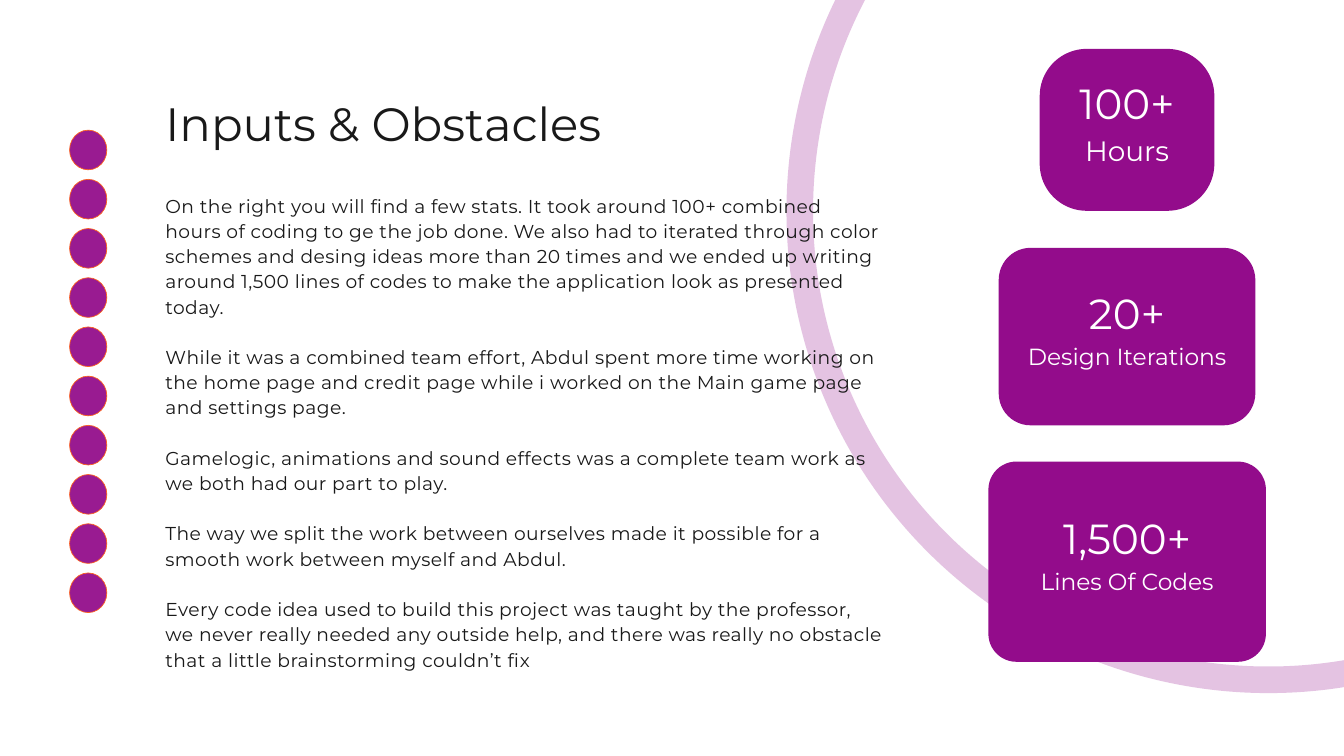
from dataclasses import dataclass

from lxml.etree import SubElement
from pptx import Presentation
from pptx.dml.color import RGBColor
from pptx.enum.shapes import MSO_SHAPE
from pptx.enum.text import MSO_ANCHOR, MSO_AUTO_SIZE, PP_ALIGN
from pptx.oxml.ns import qn
from pptx.util import Cm, Pt

COLORS = {
    "ink": "191919",
    "white": "FFFFFF",
    "card": "930C8B",
    "dot": "991B91",
    "dot_line": "FD6220",
}
FONT = "Montserrat"
TITLE = "Inputs & Obstacles"
PARAGRAPHS = [
    "On the right you will find a few stats. It took around 100+ combined hours of coding to ge the job done. "
    "We also had to iterated through color schemes and desing ideas more than 20 times and we ended up writing "
    "around 1,500 lines of codes to make the application look as presented today.",
    "While it was a combined team effort, Abdul spent more time working on the home page and credit page "
    "while i worked on the Main game page and settings page.",
    "Gamelogic, animations and sound effects was a complete team work as we both had our part to play.",
    "The way we split the work between ourselves made it possible for a smooth work between myself and Abdul.",
    "Every code idea used to build this project was taught by the professor, we never really needed any "
    "outside help, and there was really no obstacle that a little brainstorming couldn’t fix",
]
DOT_COUNT, DOT_TOP, DOT_PITCH = 10, 4.92, 1.86


@dataclass
class Area:
    left: float
    top: float
    width: float
    height: float

    def lengths(self) -> list:
        return [Cm(value) for value in (self.left, self.top, self.width, self.height)]


@dataclass
class Stat:
    area: Area
    corner: float
    value: str
    label: str
    label_size: int
    label_spacing: int


STATS = [
    Stat(Area(39.3, 1.85, 6.6, 6.12), 0.29, "100+", "Hours", 30, 42),
    Stat(Area(37.75, 9.37, 9.7, 6.71), 0.18, "20+", "Design Iterations", 25, 35),
    Stat(Area(37.36, 17.45, 10.49, 7.57), 0.14, "1,500+", "Lines Of Codes", 25, 35),
]


def color(name: str) -> RGBColor:
    return RGBColor.from_string(COLORS[name])


def set_frame(box, anchor, bottom: float = 0, inset: float = 0) -> None:
    values = {
        "word_wrap": True,
        "auto_size": MSO_AUTO_SIZE.NONE,
        "vertical_anchor": anchor,
        "margin_left": Cm(inset),
        "margin_top": Cm(inset),
        "margin_right": Cm(inset),
        "margin_bottom": Cm(bottom),
    }
    for name, value in values.items():
        setattr(box.text_frame, name, value)


def write(para, text: str, size: float, ink: str, align, spacing: float, before: float = 0):
    values = {
        "alignment": align,
        "line_spacing": Pt(spacing),
        "space_before": Pt(before),
        "space_after": Pt(0),
    }
    for name, value in values.items():
        setattr(para, name, value)
    span = para.add_run()
    span.text = text
    for name, value in {"name": FONT, "size": Pt(size), "bold": False}.items():
        setattr(span.font, name, value)
    span.font.color.rgb = color(ink)
    return span


def place(box, area: Area) -> None:
    for name, value in zip(("left", "top", "width", "height"), area.lengths()):
        setattr(box, name, value)


def add_ring(page, area: Area) -> None:
    ring = page.shapes.add_shape(MSO_SHAPE.OVAL, *area.lengths())
    ring.shadow.inherit = False
    ring.fill.background()
    ring.line.width = Pt(28.5)
    ring.line.color.rgb = color("dot")
    tint = ring.line._ln.find(".//" + qn("a:srgbClr"))
    SubElement(tint, qn("a:alpha"), val="26000")
    page.shapes._spTree.insert(2, ring._element)


def add_title(page) -> None:
    box = page.shapes.title
    place(box, Area(6.25, 3.25, 24.92, 2.41))
    set_frame(box, MSO_ANCHOR.TOP)
    write(box.text_frame.paragraphs[0], TITLE, 50, "ink", PP_ALIGN.LEFT, 70)


def add_body(page) -> None:
    box = page.placeholders[1]
    place(box, Area(6.25, 7.25, 27.15, 17.58))
    set_frame(box, MSO_ANCHOR.TOP)
    for index, text in enumerate(PARAGRAPHS):
        para = box.text_frame.add_paragraph() if index else box.text_frame.paragraphs[0]
        properties = para._p.get_or_add_pPr()
        for name in ("marL", "indent"):
            properties.set(name, "0")
        SubElement(properties, qn("a:buNone"))
        span = write(para, text, 20, "ink", PP_ALIGN.LEFT, 27, 27 if index else 0)
        span._r.get_or_add_rPr().set("spc", "47")


def add_dot(page, area: Area) -> None:
    dot = page.shapes.add_shape(MSO_SHAPE.OVAL, *area.lengths())
    dot.shadow.inherit = False
    dot.fill.solid()
    dot.fill.fore_color.rgb = color("dot")
    dot.line.color.rgb = color("dot_line")
    dot.line.width = Pt(0.75)


def add_stat(page, stat: Stat) -> None:
    card = page.shapes.add_shape(MSO_SHAPE.ROUNDED_RECTANGLE, *stat.area.lengths())
    card.adjustments[0] = stat.corner
    card.shadow.inherit = False
    card.fill.solid()
    card.fill.fore_color.rgb = color("card")
    card.line.fill.background()
    set_frame(card, MSO_ANCHOR.MIDDLE, bottom=1.06, inset=0.15)
    frame = card.text_frame
    write(frame.paragraphs[0], stat.value, 45, "white", PP_ALIGN.CENTER, 63)
    write(frame.add_paragraph(), stat.label, stat.label_size, "white", PP_ALIGN.CENTER, stat.label_spacing)


def main() -> None:
    deck = Presentation()
    deck.slide_width, deck.slide_height = Cm(50.8), Cm(28.58)
    page = deck.slides.add_slide(deck.slide_layouts[1])
    add_ring(page, Area(30.23, -9.73, 35.43, 35.43))
    add_title(page)
    add_body(page)
    for index in range(DOT_COUNT):
        add_dot(page, Area(2.63, DOT_TOP + index * DOT_PITCH, 1.41, 1.5))
    for stat in STATS:
        add_stat(page, stat)
    deck.save("out.pptx")


if __name__ == "__main__":
    main()
